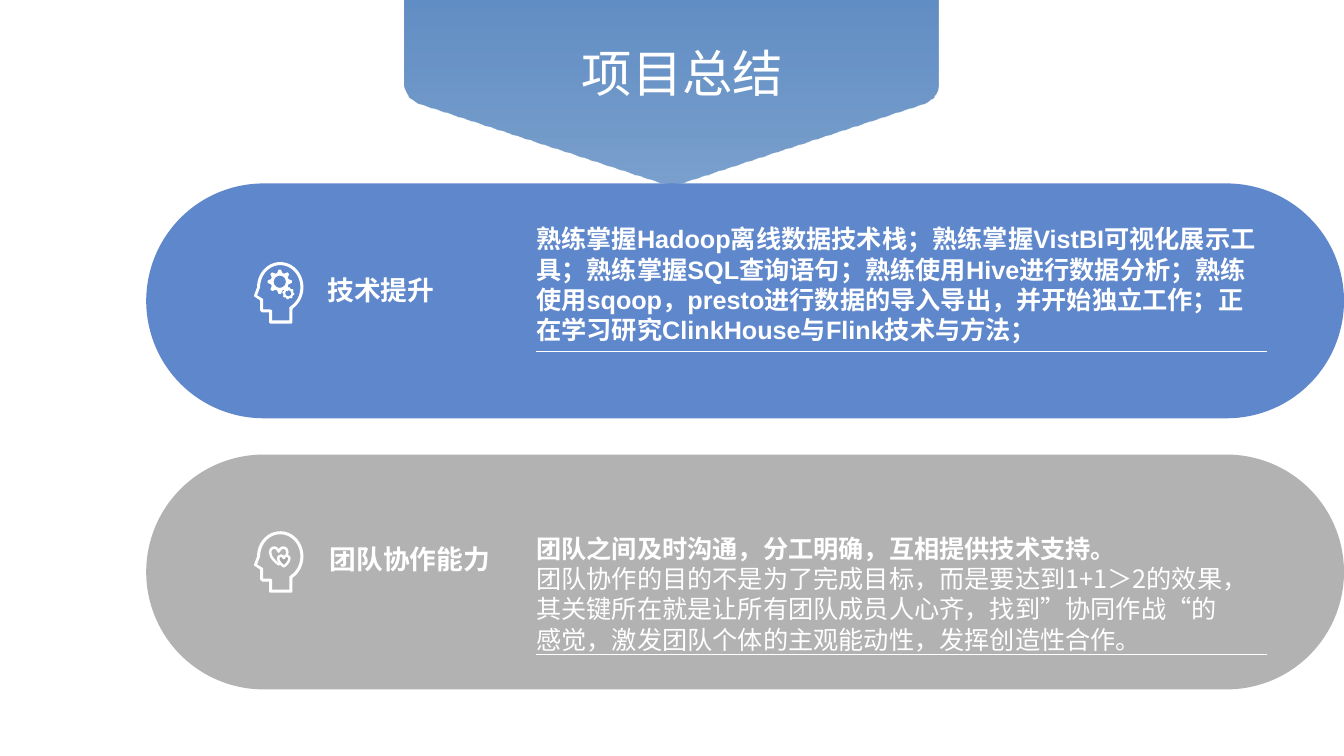
from math import cos, pi, radians, sin

from lxml import etree
from pptx import Presentation
from pptx.dml.color import RGBColor
from pptx.enum.shapes import MSO_CONNECTOR, MSO_SHAPE
from pptx.enum.text import MSO_AUTO_SIZE
from pptx.oxml.ns import qn
from pptx.util import Inches, Pt

WHITE = RGBColor(0xFF, 0xFF, 0xFF)
BLUE = RGBColor(0x44, 0x72, 0xC4)
GRAY = RGBColor(0xA5, 0xA5, 0xA5)
BANNER_BLUE = RGBColor(0x4F, 0x81, 0xBD)
CJK_FONT = "Noto Sans CJK SC"

deck = Presentation()
deck.slide_width, deck.slide_height = Inches(13.33), Inches(7.5)
page = deck.slides.add_slide(deck.slide_layouts[6])
shapes = page.shapes


def add_text(*texts, left, top, width, height, size, fonts=("Arial",), bolds=(True,)):
    """Add a white text box with one paragraph per text, font and bold flag."""
    box = shapes.add_textbox(Inches(left), Inches(top), Inches(width), Inches(height))
    frame = box.text_frame
    frame.word_wrap = True
    frame.auto_size = MSO_AUTO_SIZE.SHAPE_TO_FIT_TEXT
    for index, (text, font, bold) in enumerate(zip(texts, fonts, bolds)):
        para = frame.add_paragraph() if index else frame.paragraphs[0]
        para.line_spacing = Pt(round(size * 1.2, 1))
        span = para.add_run()
        span.text = text
        span.font.size = Pt(size)
        span.font.bold = bold
        span.font.color.rgb = WHITE
        span.font.name = font
        east_asian = etree.SubElement(span.font._element, qn("a:ea"))
        east_asian.set("typeface", CJK_FONT)


def add_outline(*contours):
    """Add a white freeform from closed contours; inner ones cut holes."""
    contours = [[(Inches(x), Inches(y)) for x, y in contour] for contour in contours]
    builder = shapes.build_freeform(*contours[0][0], scale=1.0)
    for index, contour in enumerate(contours):
        if index:
            builder.move_to(*contour[0])
        builder.add_line_segments(contour[1:], close=True)
    outline = builder.convert_to_shape()
    outline.shadow.inherit = False
    outline.fill.solid()
    outline.fill.fore_color.rgb = WHITE
    outline.line.fill.background()
    return outline


# Rounded panels
for top, color in ((1.82, BLUE), (4.51, GRAY)):
    panel = shapes.add_shape(MSO_SHAPE.ROUNDED_RECTANGLE, Inches(1.45), Inches(top),
                             Inches(11.88), Inches(2.33))
    panel.adjustments[0] = 0.5
    panel.shadow.inherit = False
    panel.fill.solid()
    panel.fill.fore_color.rgb = color
    panel.line.fill.background()
    for paint in panel._element.spPr.iter(qn("a:srgbClr")):
        etree.SubElement(paint, qn("a:alpha")).set("val", "85000")

# Panel texts
add_text("技术提升", left=3.15, top=2.67, width=1.67, height=0.42, size=19.1)
add_text("团队协作能力", left=3.17, top=5.34, width=1.91, height=0.42, size=19.1)
add_text("熟练掌握Hadoop离线数据技术栈；熟练掌握VistBI可视化展示工具；"
         "熟练掌握SQL查询语句；熟练使用Hive进行数据分析；"
         "熟练使用sqoop，presto进行数据的导入导出，并开始独立工作；"
         "正在学习研究ClinkHouse与Flink技术与方法；",
         left=5.22, top=2.17, width=7.36, height=1.31, size=18)
add_text("团队之间及时沟通，分工明确，互相提供技术支持。",
         "团队协作的目的不是为了完成目标，而是要达到1+1＞2的效果，"
         "其关键所在就是让所有团队成员人心齐，找到”协同作战“的感觉，"
         "激发团队个体的主观能动性，发挥创造性合作。",
         left=5.22, top=5.24, width=7.03, height=1.31, size=18,
         fonts=("Arial", CJK_FONT), bolds=(True, False))

# Head icons: a skull arc from the forehead round to the nape, then neck and face
for top in (2.6, 5.27):
    head = []
    for radius_x, radius_y, end, face in (
        (0.23, 0.25, 58, ((2.9, 0.6), (2.89, 0.61), (2.68, 0.61), (2.67, 0.6), (2.67, 0.5),
                          (2.6, 0.5), (2.58, 0.48), (2.58, 0.38), (2.52, 0.34), (2.52, 0.33))),
        (0.2, 0.22, 60, ((2.87, 0.45), (2.87, 0.58), (2.7, 0.58), (2.7, 0.48), (2.68, 0.47),
                         (2.61, 0.47), (2.61, 0.37), (2.6, 0.36), (2.55, 0.33))),
    ):
        arc = [(2.78 + radius_x * cos(radians(angle)), top + 0.25 + radius_y * sin(radians(angle)))
               for angle in range(-180, end + 1, 7)]
        head.append(arc + [(x, top + y) for x, y in face])
    add_outline(*head)

# Gears: eight teeth of four points each around a round hole
for center_x, center_y, tip, root, hole, turn in ((2.775, 2.795, 0.12, 0.09, 0.06, 0),
                                                  (2.86, 2.91, 0.06, 0.05, 0.03, 0.15)):
    teeth, ring = [], []
    for step in range(32):
        angle = turn + (step - 1.5) * pi / 16
        radius = tip if step % 4 in (1, 2) else root
        for contour, distance in ((teeth, radius), (ring, hole)):
            contour.append((center_x + distance * cos(angle), center_y + distance * sin(angle)))
    add_outline(teeth, ring)

# Hearts
for left, top, side, filled in ((2.68, 5.43, 0.17, False), (2.76, 5.51, 0.11, True)):
    heart = shapes.add_shape(MSO_SHAPE.HEART, Inches(left), Inches(top),
                             Inches(side), Inches(side))
    heart.shadow.inherit = False
    heart.line.color.rgb = WHITE
    heart.line.width = Pt(1.75)
    if filled:
        heart.fill.solid()
        heart.fill.fore_color.rgb = GRAY
    else:
        heart.fill.background()

# Rules below the texts
for y in (3.49, 6.49):
    rule = shapes.add_connector(MSO_CONNECTOR.STRAIGHT, Inches(5.32), Inches(y),
                                Inches(12.57), Inches(y))
    rule.line.color.rgb = WHITE
    rule.line.width = Pt(0.5)
    etree.SubElement(rule._element.spPr, qn("a:effectLst"))

# Hexagon banner, mirrored from one quarter around its center
quarter = [(3.08, 0), (3.07, 0.1), (3.04, 0.19), (2.3, 2.45), (2.27, 2.53),
           (2.22, 2.6), (2.17, 2.63), (2.11, 2.65)]
half = quarter + [(-x, y) for x, y in reversed(quarter)]
hexagon = half + [(-x, -y) for x, y in half]
banner = add_outline([(6.66 + x, y - 1.26) for x, y in hexagon])
banner.rotation = 90
banner.fill.gradient()
banner.fill.gradient_angle = 0
for stop, position, alpha in zip(banner.fill.gradient_stops, (0.67, 1), ("91000", "75000")):
    stop.position = position
    stop.color.rgb = BANNER_BLUE
    paint = stop._element.find(qn("a:srgbClr"))
    etree.SubElement(paint, qn("a:alpha")).set("val", alpha)
add_text("项目总结", left=5.67, top=0.37, width=2.25, height=0.71, size=36,
         fonts=(CJK_FONT,), bolds=(False,))

deck.save("out.pptx")
